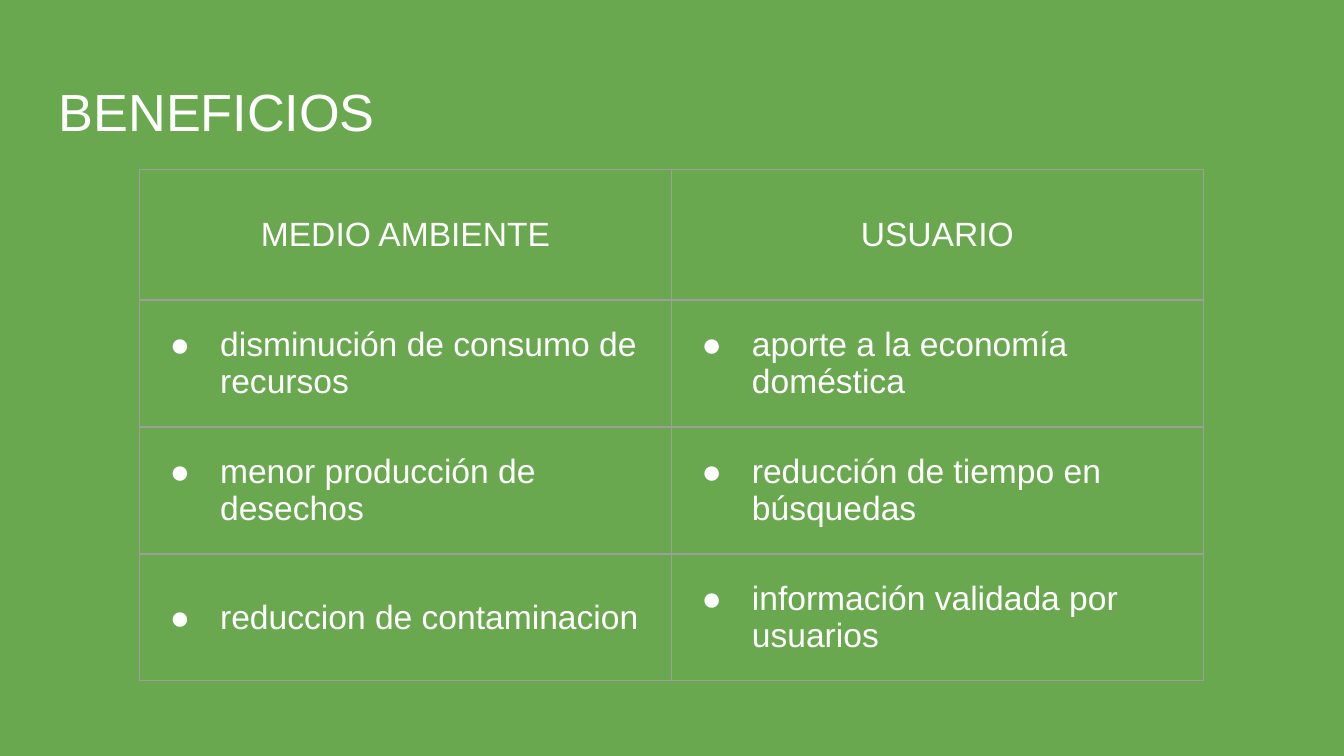
import pptx
import pptx.util
import pptx.dml.color
import pptx.enum.text
import pptx.oxml
import pptx.oxml.ns

Cm, Pt = pptx.util.Cm, pptx.util.Pt
Color = pptx.dml.color.RGBColor
Anchor = pptx.enum.text.MSO_ANCHOR
Align = pptx.enum.text.PP_ALIGN

TITLE = "BENEFICIOS"
ROWS = [
    ("MEDIO AMBIENTE", "USUARIO"),
    ("disminución de consumo de recursos", "aporte a la economía doméstica"),
    ("menor producción de desechos", "reducción de tiempo en búsquedas"),
    ("reduccion de contaminacion", "información validada por usuarios"),
]
GREEN = Color(0x6A, 0xA8, 0x4F)
WHITE = Color(0xFF, 0xFF, 0xFF)
GRAY = Color(0x9E, 0x9E, 0x9E)
PAD = Cm(0.25)
WIDE = Cm(10.05)
HEAD, BODY = Cm(2.47), Cm(2.4)
SIDES = ("left", "right", "top", "bottom")


def apply(item, form):
    for name, value in form.items():
        setattr(item, name, value)


def style(para, size):
    apply(para.font, {"name": "Arial", "size": Pt(size)})
    para.font.color.rgb = WHITE


def node(text):
    space = pptx.oxml.ns.nsdecls("a")
    return pptx.oxml.parse_xml(text.replace(">", f" {space}>", 1))


def border(cell):
    props = cell._tc.get_or_add_tcPr()
    for spot, side in enumerate("LRTB"):
        props.insert(spot, node(
            f'<a:ln{side} w="{Pt(0.75)}"><a:solidFill><a:srgbClr val="{GRAY}"/>'
            f'</a:solidFill></a:ln{side}>'))


def bullet(para):
    props = para._p.get_or_add_pPr()
    props.set("marL", str(Cm(1.27)))
    props.set("indent", str(-Cm(0.95)))
    props.append(node(f'<a:buClr><a:srgbClr val="{WHITE}"/></a:buClr>'))
    props.append(node('<a:buFont typeface="Arial"></a:buFont>'))
    props.append(node('<a:buChar char="●"></a:buChar>'))


deck = pptx.Presentation()
apply(deck, {"slide_width": Cm(25.4), "slide_height": Cm(14.29)})
slide = deck.slides.add_slide(deck.slide_layouts[5])
slide.background.fill.solid()
slide.background.fill.fore_color.rgb = GREEN

title = slide.shapes.title
apply(title, {"left": Cm(0.86), "top": Cm(1.24),
              "width": Cm(23.67), "height": Cm(1.6)})
frame = title.text_frame
frame.text = TITLE
apply(frame, {f"margin_{side}": PAD for side in SIDES})
apply(frame, {"vertical_anchor": Anchor.TOP, "word_wrap": True,
              "auto_size": pptx.enum.text.MSO_AUTO_SIZE.NONE})
frame.paragraphs[0].alignment = Align.LEFT
style(frame.paragraphs[0], 28)

count = len(ROWS[0])
table = slide.shapes.add_table(
    len(ROWS), count, Cm(2.64), Cm(3.2),
    WIDE * count, HEAD + BODY * (len(ROWS) - 1)).table
apply(table, {"first_row": False, "horz_banding": False})
for col in table.columns:
    col.width = WIDE
for r, row in enumerate(ROWS):
    table.rows[r].height = BODY if r else HEAD
    for c, text in enumerate(row):
        cell = table.cell(r, c)
        cell.text = text
        apply(cell, {f"margin_{side}": PAD for side in SIDES})
        cell.vertical_anchor = Anchor.MIDDLE
        cell.fill.background()
        border(cell)
        para = cell.text_frame.paragraphs[0]
        para.alignment = Align.LEFT if r else Align.CENTER
        style(para, 18)
        if r:
            bullet(para)

deck.save("out.pptx")
